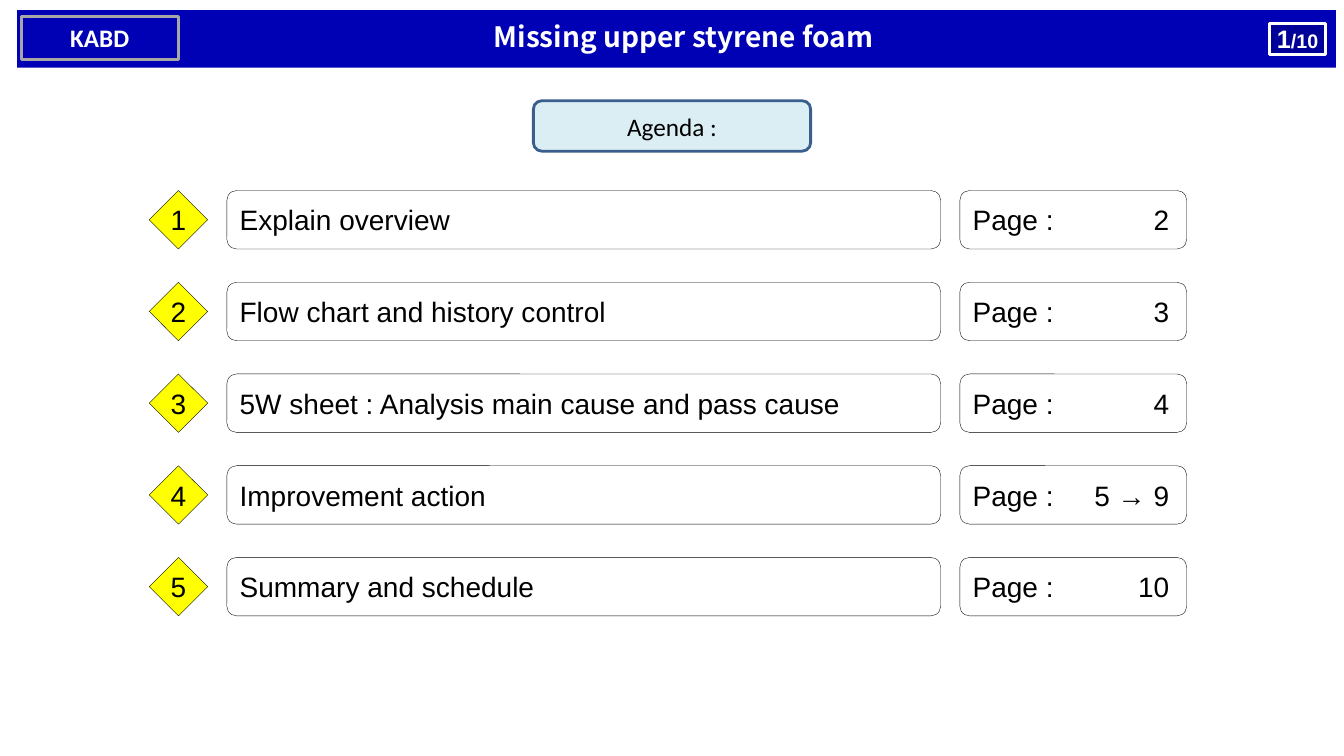
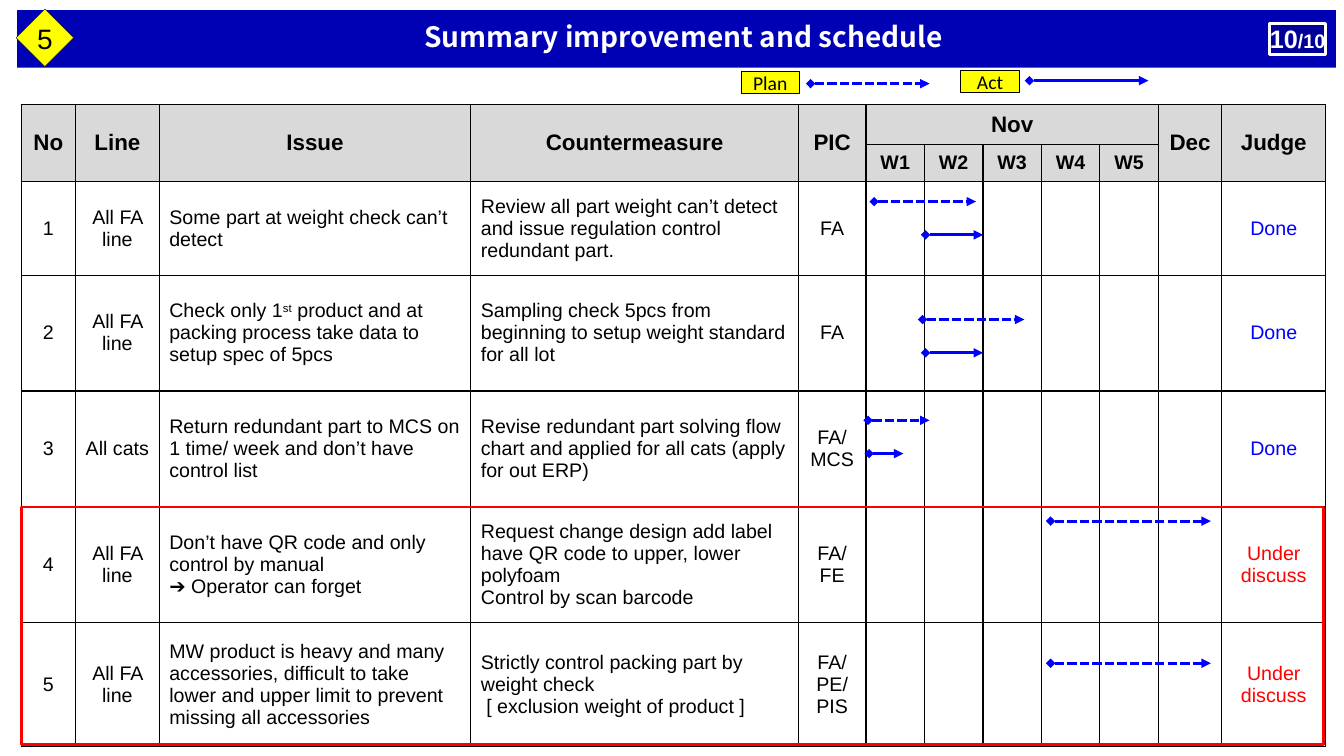
"""Build the agenda slide and the improvement schedule slide."""
from dataclasses import dataclass

from lxml import etree
from pptx import Presentation
from pptx import util as u
from pptx.dml.color import RGBColor
from pptx.enum import dml, shapes, text
from pptx.oxml.ns import qn


@dataclass(frozen=True)
class Theme:
    band: str = "0000B4"
    counter: str = "000099"
    white: str = "FFFFFF"
    black: str = "000000"
    yellow: str = "FFFF00"
    blue: str = "0000FF"
    red: str = "FF0000"
    gray: str = "A6A6A6"
    header: str = "D9D9D9"
    pale: str = "DBEEF4"
    steel: str = "3A5F8C"
    title_font: str = "Noto Sans CJK JP"
    body_font: str = "Arial"
    label_font: str = "Calibri"
    large: int = 20
    medium: int = 18
    head: int = 16
    small: int = 14


T = Theme()
Inches, Pt = u.Inches, u.Pt
SHAPE = shapes.MSO_SHAPE
CENTER, LEFT = text.PP_ALIGN.CENTER, text.PP_ALIGN.LEFT
MIDDLE = text.MSO_ANCHOR.MIDDLE


def add_run(p, words, size, color=T.black, font=T.body_font, bold=False):
    r = p.add_run()
    r.text = words
    r.font.size, r.font.name, r.font.bold = Pt(size), font, bold
    r.font.color.rgb = RGBColor.from_string(color)
    return r


def add_box(s, kind, at, fill=None, line=T.black, width=0.25):
    sp = s.shapes.add_shape(kind, *map(Inches, at))
    sp.shadow.inherit = False
    if fill:
        sp.fill.solid()
        sp.fill.fore_color.rgb = RGBColor.from_string(fill)
    else:
        sp.fill.background()
    sp.line.color.rgb = RGBColor.from_string(line)
    sp.line.width = Pt(width)
    tf = sp.text_frame
    tf.vertical_anchor = MIDDLE
    tf.margin_left = tf.margin_right = tf.margin_top = tf.margin_bottom = 0
    tf.paragraphs[0].alignment = CENTER
    return sp


prs = Presentation()
prs.slide_width, prs.slide_height = Inches(13.33), Inches(7.5)

slides = []
for heading, page in (("Missing upper styrene foam", "1"),
                      ("Summary improvement and schedule", "10")):
    s = prs.slides.add_slide(prs.slide_layouts[5])
    title = s.shapes.title
    title.left, title.top, title.width, title.height = map(Inches, (0.17, 0.1, 13.08, 0.57))
    title.fill.solid()
    title.fill.fore_color.rgb = RGBColor.from_string(T.band)
    tf = title.text_frame
    tf.auto_size = text.MSO_AUTO_SIZE.NONE
    tf.vertical_anchor = MIDDLE
    tf.margin_left, tf.margin_right = Inches(0.18), Inches(0.04)
    tf.margin_top, tf.margin_bottom = 0, Inches(0.04)
    tf.paragraphs[0].alignment = CENTER
    add_run(tf.paragraphs[0], heading, T.large, T.white, T.title_font, True)

    counter = add_box(s, SHAPE.RECTANGLE, (12.59, 0.23, 0.56, 0.31), T.counter, T.white, 2.25)
    counter.text_frame.word_wrap = False
    p = counter.text_frame.paragraphs[0]
    add_run(p, page, T.medium, T.white, bold=True)
    add_run(p, "/10", T.small, T.white, bold=True)
    slides.append(s)

agenda, schedule = slides

badge = add_box(agenda, SHAPE.RECTANGLE, (0.21, 0.16, 1.56, 0.43), None, T.gray, 2.25)
add_run(badge.text_frame.paragraphs[0], "KABD", T.medium, T.white, T.label_font, True)
label = add_box(agenda, SHAPE.ROUNDED_RECTANGLE, (5.29, 1, 2.75, 0.5), T.pale, T.steel, 2)
add_run(label.text_frame.paragraphs[0], "Agenda :", T.medium, font=T.label_font)

topics = (
    ("Explain overview", "2"),
    ("Flow chart and history control", "3"),
    ("5W sheet : Analysis main cause and pass cause", "4"),
    ("Improvement action", "5 → 9"),
    ("Summary and schedule", "10"),
)
for i, (topic, pages) in enumerate(topics):
    top = 1.89 + 0.91 * i
    number = add_box(agenda, SHAPE.DIAMOND, (1.48, top, 0.58, 0.58), T.yellow)
    add_run(number.text_frame.paragraphs[0], str(i + 1), T.large)
    for left, width, words in ((2.25, 7.08, topic), (9.52, 2.25, f"Page :\t{pages}")):
        sp = add_box(agenda, SHAPE.ROUNDED_RECTANGLE, (left, top, width, 0.58))
        sp.text_frame.margin_left = Inches(0.1)
        p = sp.text_frame.paragraphs[0]
        p.alignment = LEFT
        if "\t" in words:
            tabs = etree.SubElement(p._p.get_or_add_pPr(), qn("a:tabLst"))
            etree.SubElement(tabs, qn("a:tab"), pos=str(Inches(1.95)), algn="r")
        add_run(p, words, T.large)

columns = (0.54, 0.83, 3.09, 3.25, 0.67, 0.58, 0.58, 0.58, 0.58, 0.58, 0.63, 1.03)
heights = (0.39, 0.37, 0.93, 1.15, 1.15, 1.15, 1.23)
weeks = ("W1", "W2", "W3", "W4", "W5")
issues = (
    ("All FA line", "Some part at weight check can’t detect",
     "Review all part weight can’t detect and issue regulation control redundant part.",
     "FA", "Done"),
    ("All FA line",
     "Check only 1^st^ product and at packing process take data to setup spec of 5pcs",
     "Sampling check 5pcs from beginning to setup weight standard for all lot",
     "FA", "Done"),
    ("All cats", "Return redundant part to MCS on 1 time/ week and don’t have control list",
     "Revise redundant part solving flow chart and applied for all cats (apply for out ERP)",
     "FA/\nMCS", "Done"),
    ("All FA line",
     "Don’t have QR code and only control by manual\n➔ Operator can forget",
     "Request change design add label have QR code to upper, lower polyfoam\n"
     "Control by scan barcode",
     "FA/\nFE", "Under\ndiscuss"),
    ("All FA line",
     "MW product is heavy and many accessories, difficult to take lower and upper limit "
     "to prevent missing all accessories",
     "Strictly control packing part by weight check\n [ exclusion weight of product ]",
     "FA/\nPE/\nPIS", "Under\ndiscuss"),
)
blank = ("",) * 5
rows = [
    ("No", "Line", "Issue", "Countermeasure", "PIC", "Nov", "", "", "", "", "Dec", "Judge"),
    blank + weeks + ("", ""),
]
for n, (line, issue, measure, pic, judge) in enumerate(issues, 1):
    rows.append((str(n), line, issue, measure, pic) + blank + ("", judge))

frame = schedule.shapes.add_table(len(rows), len(columns), *map(Inches, (0.21, 1.04, 12.94, 6.37)))
table = frame.table
table.first_row = table.horz_banding = False
for column, width in zip(table.columns, columns):
    column.width = Inches(width)
for row, height in zip(table.rows, heights):
    row.height = Inches(height)

for i, row in enumerate(rows):
    for j, words in enumerate(row):
        cell = table.cell(i, j)
        heading = i < 2
        prose = not heading and j in (2, 3)
        cell.vertical_anchor = MIDDLE
        cell.margin_left = cell.margin_right = Inches(0.1 if prose else 0.05)
        if heading:
            cell.fill.solid()
            cell.fill.fore_color.rgb = RGBColor.from_string(T.header)
        else:
            cell.fill.background()
        tcPr = cell._tc.get_or_add_tcPr()
        for k, side in enumerate(("lnL", "lnR", "lnT", "lnB")):
            ln = etree.Element(qn(f"a:{side}"), w=str(Pt(1)))
            fill = etree.SubElement(ln, qn("a:solidFill"))
            etree.SubElement(fill, qn("a:srgbClr"), val=T.black)
            tcPr.insert(k, ln)
        if not words:
            continue
        color = {"Done": T.blue, "Under\ndiscuss": T.red}.get(words, T.black)
        tf = cell.text_frame
        for k, sentence in enumerate(words.split("\n")):
            p = tf.add_paragraph() if k else tf.paragraphs[0]
            p.alignment = LEFT if prose else CENTER
            for m, part in enumerate(sentence.split("^")):
                r = add_run(p, part, T.head if i == 0 else T.small, color, bold=heading)
                if m % 2:
                    r.font._element.set("baseline", "30000")

for j in (0, 1, 2, 3, 4, 10, 11):
    table.cell(0, j).merge(table.cell(1, j))
table.cell(0, 5).merge(table.cell(0, 9))

for words, left, top in (("Plan", 7.35, 0.71), ("Act", 9.53, 0.7)):
    key = add_box(schedule, SHAPE.RECTANGLE, (left, top, 0.58, 0.22), T.yellow, width=0.75)
    add_run(key.text_frame.paragraphs[0], words, T.small, font=T.label_font)

plans = ((8.04, 9.22, 0.83), (8.67, 9.68, 2), (9.15, 10.16, 3.17), (8.61, 9.22, 4.17),
         (10.42, 12.01, 5.17), (10.42, 12.01, 6.58))
acts = ((10.21, 11.39, 0.8), (9.18, 9.75, 2.33), (9.18, 9.75, 3.5), (8.62, 8.96, 4.5))
for arrows, dashed in ((plans, True), (acts, False)):
    for start, end, y in arrows:
        arrow = schedule.shapes.add_connector(
            shapes.MSO_CONNECTOR.STRAIGHT, *map(Inches, (start, y, end, y)))
        arrow.line.color.rgb = RGBColor.from_string(T.blue)
        arrow.line.width = Pt(2.25)
        if dashed:
            arrow.line.dash_style = dml.MSO_LINE.SQUARE_DOT
        spPr = arrow._element.spPr
        ln = spPr.find(qn("a:ln"))
        etree.SubElement(ln, qn("a:headEnd"), type="diamond")
        etree.SubElement(ln, qn("a:tailEnd"), type="triangle")
        etree.SubElement(spPr, qn("a:effectLst"))

add_box(schedule, SHAPE.RECTANGLE, (0.21, 5.03, 12.92, 2.36), None, T.red, 2)
section = add_box(schedule, SHAPE.DIAMOND, (0.16, 0.09, 0.57, 0.57), T.yellow)
add_run(section.text_frame.paragraphs[0], "5", T.large)

prs.save("out.pptx")
